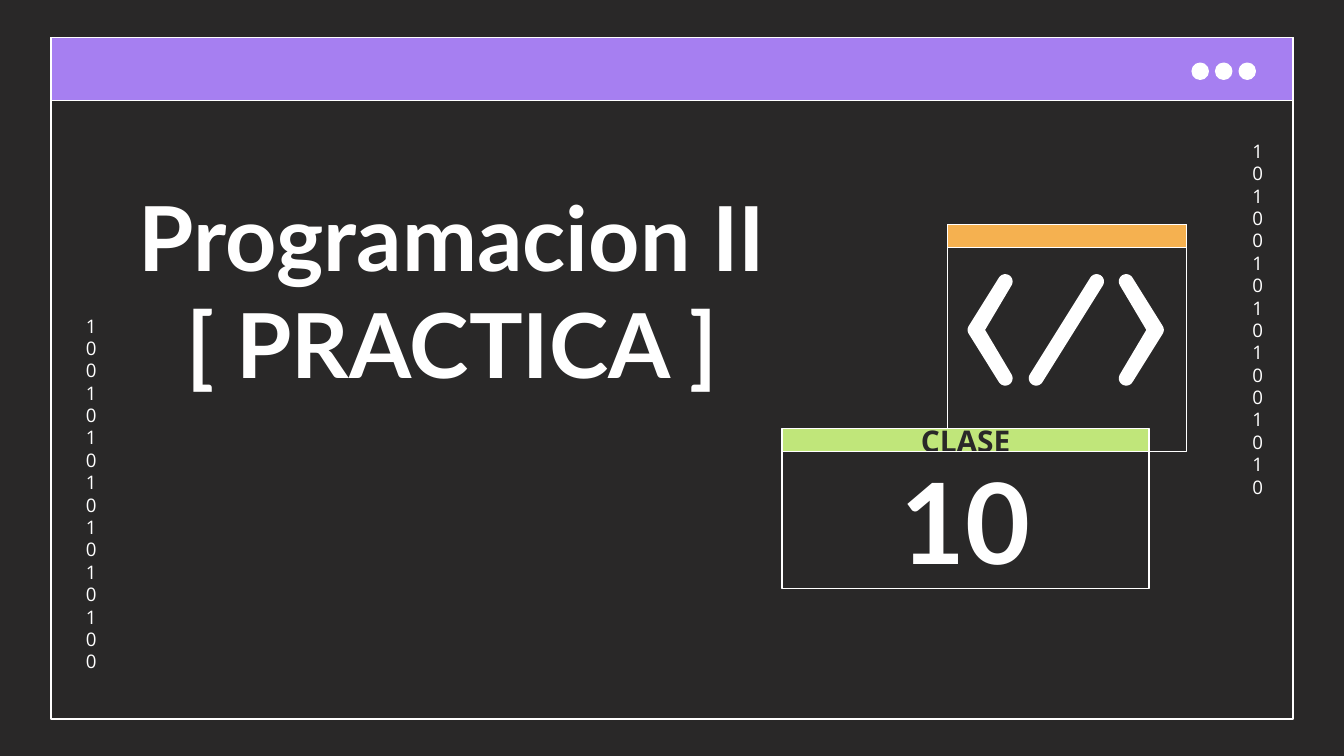
from math import cos, radians, sin

from pptx import Presentation
from pptx.dml.color import RGBColor
from pptx.enum.shapes import MSO_SHAPE
from pptx.enum.text import MSO_ANCHOR, MSO_AUTO_SIZE, PP_ALIGN
from pptx.util import Inches, Pt

COLORS = {
    "dark": "292828",
    "white": "FFFFFF",
    "purple": "A67FF1",
    "orange": "F5B150",
    "green": "C0E67A",
}
BAR = 0.17


def rgb(name):
    return RGBColor.from_string(COLORS[name])


def add_box(s, x, y, w, h, fill=None, kind=MSO_SHAPE.RECTANGLE):
    sp = s.shapes.add_shape(kind, Inches(x), Inches(y), Inches(w), Inches(h))
    sp.shadow.inherit = False
    if fill:
        sp.fill.solid()
        sp.fill.fore_color.rgb = rgb(fill)
    else:
        sp.fill.background()
    sp.line.color.rgb = rgb("white")
    sp.line.width = Pt(0.75)
    return sp


def write(sp, lines, size, font, color="white", bold=False, anchor=MSO_ANCHOR.MIDDLE):
    tf = sp.text_frame
    tf.word_wrap = True
    tf.auto_size = MSO_AUTO_SIZE.NONE
    tf.vertical_anchor = anchor
    tf.margin_left = tf.margin_right = tf.margin_top = tf.margin_bottom = Inches(0.1)
    p = tf.paragraphs[0]
    p.alignment = PP_ALIGN.CENTER
    for i, line in enumerate(lines):
        if i:
            p.add_line_break()
        r = p.add_run()
        r.text = line
        r.font.size = Pt(size)
        r.font.name = font
        r.font.bold = bold
        r.font.color.rgb = rgb(color)
    return p


def add_window(s, x, y, w, h, bar_h, fill):
    add_box(s, x, y, w, h)
    add_box(s, x, y, w, bar_h, fill)


def add_browser_frame(s, x, y, w, h):
    add_window(s, x, y, w, h, 0.47, "purple")
    for i in range(3):
        add_box(s, x + w - 0.75 + i * 0.175, y + 0.19, 0.12, 0.12, "white", MSO_SHAPE.OVAL)


def add_binary_column(s, x, y, w, h, digits):
    sp = s.shapes.add_textbox(Inches(x), Inches(y), Inches(w), Inches(h))
    p = write(sp, [digits], 10, "Open Sans", anchor=MSO_ANCHOR.TOP)
    p.line_spacing = Pt(12)


def add_title(s, x, y, w, h):
    sp = s.shapes.title
    sp.left, sp.top, sp.width, sp.height = (Inches(v) for v in (x, y, w, h))
    write(sp, ["Programacion II", "[ PRACTICA ]"], 48, "Lato", bold=True, anchor=MSO_ANCHOR.TOP)


def arc(cx, cy, start, end, radius=0.055):
    angles = [radians(start + (end - start) * i / 12) for i in range(13)]
    return [(cx + radius * cos(a), cy + radius * sin(a)) for a in angles]


def add_code_icon(s, x, y, w, h):
    tilt, inset = 32, 0.055
    top, mid, bottom = inset, h / 2, h - inset
    chevron = (
        arc(0.28, top, 180 + tilt, 360 + tilt)
        + [(0.13, mid)]
        + arc(0.28, bottom, -tilt, 180 - tilt)
        + arc(inset, mid, 180 - tilt, 180 + tilt)
    )
    mirrored = [(w - px, py) for px, py in chevron]
    slash = arc(0.96, top, 180 + tilt, 360 + tilt) + arc(0.51, bottom, tilt, 180 + tilt)
    outlines = [
        [(Inches(x + px), Inches(y + py)) for px, py in points]
        for points in (chevron, slash, mirrored)
    ]
    builder = s.shapes.build_freeform(*outlines[0][0])
    for i, points in enumerate(outlines):
        if i:
            builder.move_to(*points[0])
        builder.add_line_segments(points[1:], close=True)
    sp = builder.convert_to_shape()
    sp.shadow.inherit = False
    sp.fill.solid()
    sp.fill.fore_color.rgb = rgb("white")
    sp.line.fill.background()


def add_code_window(s, x, y, w, h):
    add_window(s, x, y, w, h, BAR, "orange")
    add_code_icon(s, x + 0.15, y + 0.37, 1.46, 0.83)


def add_class_card(s, x, y, w, h):
    header = add_box(s, x, y, w, BAR, "green")
    write(header, ["CLASE"], 16, "Open Sans", "dark", True)
    body = add_box(s, x, y + BAR, w, h - BAR)
    write(body, ["10"], 60, "Lato", bold=True)


def main():
    prs = Presentation()
    prs.slide_width = Inches(10)
    prs.slide_height = prs.slide_width * 9 // 16
    s = prs.slides.add_slide(prs.slide_layouts[5])
    s.background.fill.solid()
    s.background.fill.fore_color.rgb = rgb("dark")
    add_browser_frame(s, 0.38, 0.28, 9.24, 5.07)
    add_binary_column(s, 9.22, 0.94, 0.24, 2.8, "1010010101001010")
    add_binary_column(s, 0.54, 2.24, 0.24, 2.8, "1001010101010100")
    add_code_window(s, 7.05, 1.67, 1.78, 1.69)
    add_title(s, 0.92, 1.25, 4.89, 3.38)
    add_class_card(s, 5.82, 3.19, 2.73, 1.19)
    prs.save("out.pptx")


if __name__ == "__main__":
    main()
